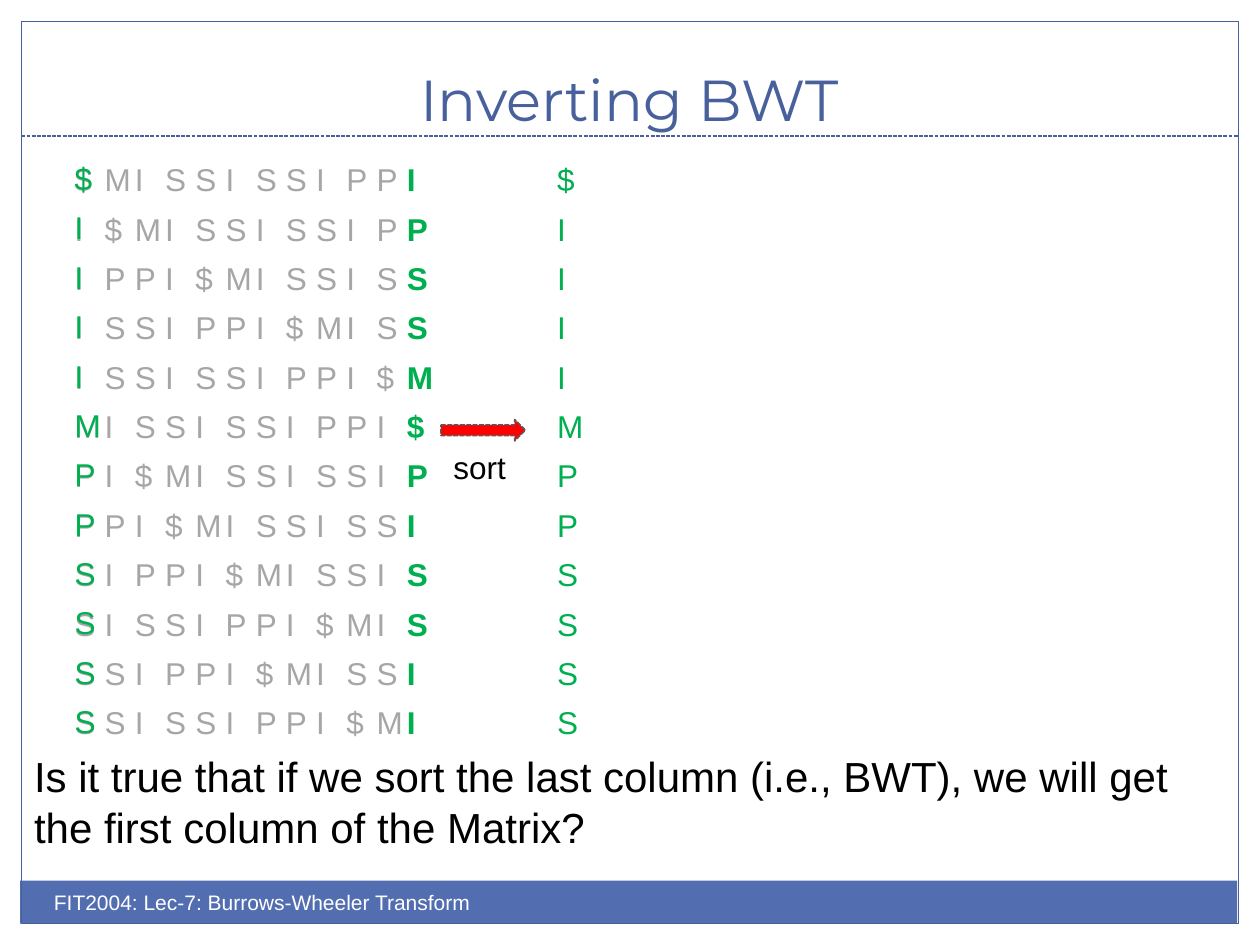
import pptx
import pptx.util
import pptx.dml.color
import pptx.enum.dml
import pptx.enum.shapes
import pptx.enum.text
from pptx.util import Inches, Pt

# Content
TITLE = "Inverting BWT"
QUESTION = ("Is it true that if we sort the last column (i.e., BWT), "
            "we will get the first column of the Matrix?")
FOOTER = "FIT2004: Lec-7: Burrows-Wheeler Transform"
ARROW_LABEL = "sort"
WORD = "MISSISSIPPI$"
COLORS = {"frame": "48609B", "band": "526DB0", "key": "00B050", "muted": "A6A6A6",
          "arrow": "FF0000", "arrow_line": "5A5A5A", "text": "000000", "white": "FFFFFF"}

# Matrix geometry
CELL_W, ROW_H, TABLE_H = 0.24, 0.32, 4.8
NO_GRID_STYLE = "{2D5ABB26-0587-4C30-8999-92F81FD0307C}"
SHAPE = pptx.enum.shapes.MSO_SHAPE
ALIGN = pptx.enum.text.PP_ALIGN


def rgb(name):
    return pptx.dml.color.RGBColor.from_string(COLORS[name])


def box(*inches):
    return [Inches(v) for v in inches]


def write(tf, text, size, color, font="Arial", align=ALIGN.LEFT, bold=False):
    tf.text = text
    p = tf.paragraphs[0]
    p.alignment = align
    f = p.runs[0].font
    f.name, f.size, f.bold = font, Pt(size), bold
    f.color.rgb = rgb(color)
    return p


def style_line(line, color, width, dashed=False):
    line.color.rgb = rgb(color)
    line.width = Pt(width)
    if dashed:
        line.dash_style = pptx.enum.dml.MSO_LINE.SQUARE_DOT


def add_block(s, kind, bounds, fill=None):
    sp = s.shapes.add_shape(kind, *box(*bounds))
    sp.shadow.inherit = False
    if fill:
        sp.fill.solid()
        sp.fill.fore_color.rgb = rgb(fill)
    else:
        sp.fill.background()
    sp.line.fill.background()
    return sp


def place(sp, bounds):
    sp.left, sp.top, sp.width, sp.height = box(*bounds)
    sp.text_frame.auto_size = pptx.enum.text.MSO_AUTO_SIZE.NONE
    sp.text_frame.word_wrap = True


def add_letters(s, left, top, rows, look):
    """Add a table of single letters; look(column) gives colour and bold."""
    cols = len(rows[0])
    frame = s.shapes.add_table(len(rows), cols, *box(left, top, cols * CELL_W, TABLE_H))
    table = frame.table
    table.first_row = table.horz_banding = False
    table._tbl.tblPr[0].text = NO_GRID_STYLE
    for col in table.columns:
        col.width = Inches(CELL_W)
    for r, letters in enumerate(rows):
        table.rows[r].height = Inches(ROW_H)
        for c, letter in enumerate(letters):
            cell = table.cell(r, c)
            cell.fill.background()
            cell.margin_left = cell.margin_right = Pt(6.6)
            cell.margin_top = cell.margin_bottom = Pt(3.3)
            color, bold = look(c)
            write(cell.text_frame, letter, 18, color, align=ALIGN.CENTER, bold=bold)
    frame.height = Inches(TABLE_H)


prs = pptx.Presentation()
prs.slide_width, prs.slide_height = box(10, 7.5)
s = prs.slides.add_slide(prs.slide_layouts[1])
title, body = s.placeholders

# Frame, footer band and title rule
add_block(s, SHAPE.RECTANGLE, (0.16, 6.99, 9.66, 0.34), "band")
border = add_block(s, SHAPE.RECTANGLE, (0.17, 0.17, 9.66, 7.16))
style_line(border.line, "frame", 0.75)
rule = s.shapes.add_connector(pptx.enum.shapes.MSO_CONNECTOR.STRAIGHT,
                              *box(0.17, 1.08, 9.83, 1.08))
style_line(rule.line, "frame", 0.75, dashed=True)
rule._element.spPr.append(pptx.oxml.xmlchemy.OxmlElement("a:effectLst"))

# Title and question, in front of the frame
for sp in (title, body):
    s.shapes._spTree.append(sp._element)
place(title, (0.33, 0.25, 9.33, 0.83))
title.text_frame.vertical_anchor = pptx.enum.text.MSO_ANCHOR.BOTTOM
title.text_frame.margin_bottom = Inches(0.02)
write(title.text_frame, TITLE, 33, "frame", "Montserrat", ALIGN.CENTER)

place(body, (0.17, 5.91, 9.58, 1.05))
p = write(body.text_frame, QUESTION, 24, "text")
p.space_before = Pt(0)
pPr = p._p.get_or_add_pPr()
pPr.set("marL", "0")
pPr.set("indent", "0")
pPr.append(pptx.oxml.xmlchemy.OxmlElement("a:buNone"))

# Footer
footer = s.shapes.add_textbox(*box(0.33, 7.01, 5, 0.4))
footer.text_frame.word_wrap = True
write(footer.text_frame, FOOTER, 12, "white")

# Sorted rotations, with the last column picked out
rotations = sorted(WORD[i:] + WORD[:i] for i in range(len(WORD)))
last = len(WORD) - 1
add_letters(s, 0.5, 1.25, rotations,
            lambda c: ("key", True) if c == last else ("muted", False))

# Sort arrow
arrow = add_block(s, SHAPE.RIGHT_ARROW, (3.5, 3.33, 0.67, 0.17), "arrow")
style_line(arrow.line, "arrow_line", 0.9, dashed=True)

# First column, over the matrix and as the result of sorting
for left, top in ((0.5, 1.24), (4.33, 1.25)):
    add_letters(s, left, top, sorted(WORD), lambda c: ("key", False))

label = s.shapes.add_textbox(*box(3.5, 3.51, 0.62, 0.4))
label.text_frame.word_wrap = False
write(label.text_frame, ARROW_LABEL, 18, "text")

prs.save("out.pptx")
